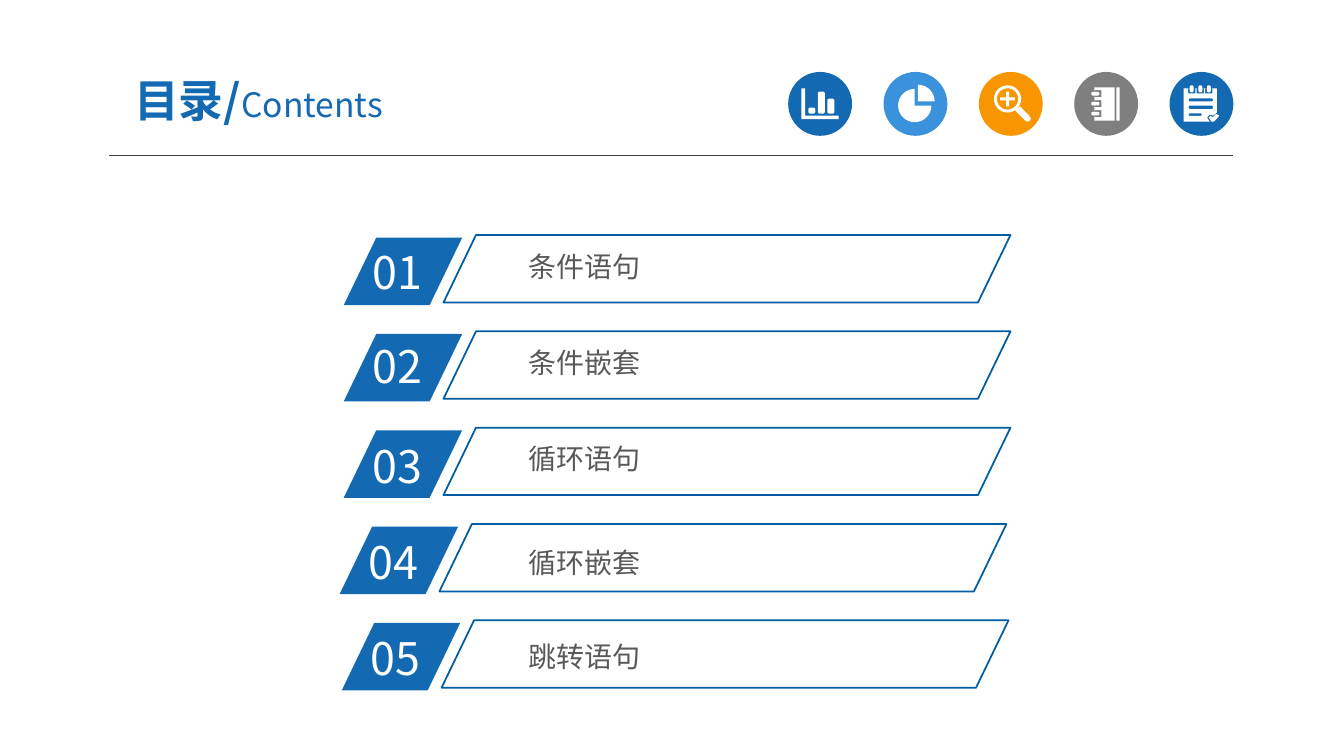
from math import cos, radians, sin

from pptx import Presentation, util as u
from pptx.dml.color import RGBColor
from pptx.enum import shapes, text
from pptx.oxml.ns import qn
from lxml import etree

COLORS = {"blue": "1369B2", "sky": "3992DB", "orange": "F79600", "gray": "7F7F7F",
          "white": "FFFFFF", "rule": "404040", "outline": "005DA2", "text": "595959"}
FONT = "Noto Sans CJK SC"
LEFT, CENTER = text.PP_ALIGN.LEFT, text.PP_ALIGN.CENTER
TOP, MIDDLE = text.MSO_ANCHOR.TOP, text.MSO_ANCHOR.MIDDLE


def arc(x, y, radius, start, end):
    return [(x + radius * cos(radians(a)), y + radius * sin(radians(a)))
            for a in range(start, end + 1, 10)]


def box(left, top, right, bottom, radius=0):
    if not radius:
        return [(left, top), (right, top), (right, bottom), (left, bottom)]
    corners = box(left + radius, top + radius, right - radius, bottom - radius)
    return [p for i, (x, y) in enumerate(corners)
            for p in arc(x, y, radius, 180 + 90 * i, 270 + 90 * i)]


def chart_icon():
    axes = [(9.4, 11.8), (12.2, 11.8), (12.2, 31.2), (36, 31.2), (36, 33.7), (9.4, 33.7)]
    bars = [(14.4, 25.4), (21.2, 14), (28, 19)]
    return [axes] + [box(x, y, x + 5, 29.8, 1.5) for x, y in bars]


def pie_icon():
    return [arc(22.3, 24, 11.9, 0, 270) + [(22.3, 24)],
            arc(24.5, 21.1, 12, 270, 360) + [(24.5, 21.1)]]


def magnifier_icon():
    x, y, arm, half = 20.5, 19.3, 5.3, 1.1
    plus = [(-half, -arm), (half, -arm), (half, -half), (arm, -half), (arm, half),
            (half, half), (half, arm), (-half, arm), (-half, half), (-arm, half),
            (-arm, -half), (-half, -half)]
    handle = [(25.9, 27.6), (29.5, 24.7), (36, 31.2), (37.2, 33.3), (36.4, 35),
              (34.6, 35.5), (33.1, 34.8)]
    return [arc(x, y, 9.7, 0, 350), arc(x, y, 7.6, 0, 350),
            [(x + dx, y + dy) for dx, dy in plus], handle]


def notebook_icon():
    contours = [box(14.4, 11, 28.8, 34.8), box(30.2, 11, 32.4, 34.8)]
    for i in range(3):
        y = 15.6 + 7.1 * i
        contours += [box(14.4, y - 2.5, 19.4, y + 2.5), box(12.2, y - 1.3, 18, y + 1.3, 1.2)]
    return contours


def notepad_icon():
    page = [(10.1, 11.7), (33.8, 11.7), (33.8, 29), (31, 31.2), (28.8, 30.5),
            (26.8, 32.6), (28.8, 35.5), (10.1, 35.5)]
    tick = [(28.1, 32.6), (29.2, 31.3), (31, 32.4), (33.1, 30), (35.3, 31),
            (34.9, 32.2), (31.7, 35.5), (29.9, 35.5)]
    contours = [page, tick, box(13.7, 18.9, 31, 21.1, 1), box(13.7, 24, 31, 26.5, 1),
                box(13.7, 29.6, 23, 31.4, 0.8)]
    for x in (15.8, 22, 28.1):
        contours += [box(x - 2.6, 11.7, x + 2.6, 15.3), box(x - 1.4, 9.6, x + 1.4, 14.6, 1.3)]
    return contours


class Deck:
    def __init__(self):
        self.prs = Presentation()
        self.prs.slide_width, self.prs.slide_height = u.Pt(960), u.Pt(540)
        self.slide = self.prs.slides.add_slide(self.prs.slide_layouts[1])
        self.shapes = self.slide.shapes

    def rgb(self, name):
        return RGBColor.from_string(COLORS[name])

    def paint(self, sp, fill=None, line=None):
        sp.shadow.inherit = False
        if fill:
            sp.fill.solid()
            sp.fill.fore_color.rgb = self.rgb(fill)
        else:
            sp.fill.background()
        if line:
            sp.line.color.rgb, sp.line.width = self.rgb(line), u.Pt(1.25)
        else:
            sp.line.fill.background()
        return sp

    def shape(self, kind, x, y, w, h, fill=None, line=None):
        sp = self.shapes.add_shape(kind, u.Pt(x), u.Pt(y), u.Pt(w), u.Pt(h))
        return self.paint(sp, fill, line)

    def parallelogram(self, *place, **style):
        sp = self.shape(shapes.MSO_SHAPE.PARALLELOGRAM, *place, **style)
        sp.adjustments[0] = 0.482

    def rule(self, x1, x2, y):
        cn = self.shapes.add_connector(shapes.MSO_CONNECTOR.STRAIGHT,
                                       u.Pt(x1), u.Pt(y), u.Pt(x2), u.Pt(y))
        cn.line.color.rgb, cn.line.width = self.rgb("rule"), u.Pt(0.75)
        etree.SubElement(cn._element.spPr, qn("a:effectLst"))

    def icon(self, x, y, fill, contours):
        self.shape(shapes.MSO_SHAPE.OVAL, x, y, 45.6, 45.6, fill=fill)
        builder = None
        for contour in contours:
            points = [(u.Pt(x + dx), u.Pt(y + dy)) for dx, dy in contour]
            if builder is None:
                builder = self.shapes.build_freeform(*points[0])
            else:
                builder.move_to(*points[0])
            builder.add_line_segments(points[1:], close=True)
        self.paint(builder.convert_to_shape(), fill="white")

    def frame(self, sp, x, y, w, h, anchor=TOP, inset=(7.2, 3.6)):
        for name, value in dict(left=x, top=y, width=w, height=h).items():
            setattr(sp, name, u.Pt(value))
        tf = sp.text_frame
        across, down = map(u.Pt, inset)
        values = dict(word_wrap=True, auto_size=text.MSO_AUTO_SIZE.NONE,
                      vertical_anchor=anchor, margin_left=across, margin_right=across,
                      margin_top=down, margin_bottom=down)
        for name, value in values.items():
            setattr(tf, name, value)
        return tf

    def run(self, p, words, size, color, bold=False):
        r = p.add_run()
        r.text = words
        for name, value in dict(name=FONT, size=u.Pt(size), bold=bold).items():
            setattr(r.font, name, value)
        r.font.color.rgb = self.rgb(color)
        rPr = r._r.get_or_add_rPr()
        etree.SubElement(rPr, qn("a:ea")).set("typeface", FONT)

    def title(self, heading, subtitle, *place):
        p = self.frame(self.shapes.title, *place, MIDDLE, (9.4, 5)).paragraphs[0]
        p.alignment = CENTER
        self.run(p, heading, 32, "blue", True)
        self.run(p, subtitle, 24, "blue")

    def topics(self, items, *place):
        tf = self.frame(self.slide.placeholders[1], *place, inset=(5, 2.9))
        for i, (words, gap) in enumerate(items):
            p = tf.add_paragraph() if i else tf.paragraphs[0]
            values = dict(alignment=LEFT, space_before=u.Pt(gap), space_after=u.Pt(0),
                          line_spacing=1.0)
            for name, value in values.items():
                setattr(p, name, value)
            pPr = p._p.get_or_add_pPr()
            pPr.set("marL", "0")
            pPr.set("indent", "0")
            etree.SubElement(pPr, qn("a:buNone"))
            self.run(p, words, 20, "text")

    def number(self, words, *place):
        sp = self.shapes.add_textbox(0, 0, 0, 0)
        self.run(self.frame(sp, *place).paragraphs[0], words, 32, "white")


def main():
    deck = Deck()
    deck.rule(77.8, 880.6, 111.2)
    deck.title("目录/", "Contents", 66.2, 45.4, 236.9, 51.8)
    icons = [("blue", chart_icon), ("sky", pie_icon), ("orange", magnifier_icon),
             ("gray", notebook_icon), ("blue", notepad_icon)]
    for i, (fill, contours) in enumerate(icons):
        deck.icon(563 + 68.1 * i, 51.4, fill, contours())

    rows = [(245.5, 1.4), (245.5, 0), (245.5, 2.2), (242.6, 2.2), (244.1, 2.2)]
    for i, (x, drop) in enumerate(rows):
        y = 169.8 + 68.8 * i
        deck.parallelogram(x, y, 84.6, 48.2, fill="blue")
        deck.number(f"{i + 1:02}", x + 13.7, y + drop, 80.6, 46.1)
        deck.parallelogram(x + 71.3, y - 1.9, 405, 48.2, line="outline")
    deck.topics([("条件语句", 0), ("条件嵌套", 44.6), ("循环语句", 44.8),
                 ("循环嵌套", 50), ("跳转语句", 43.2)], 372.2, 175, 296.6, 320)
    deck.prs.save("out.pptx")


if __name__ == "__main__":
    main()
